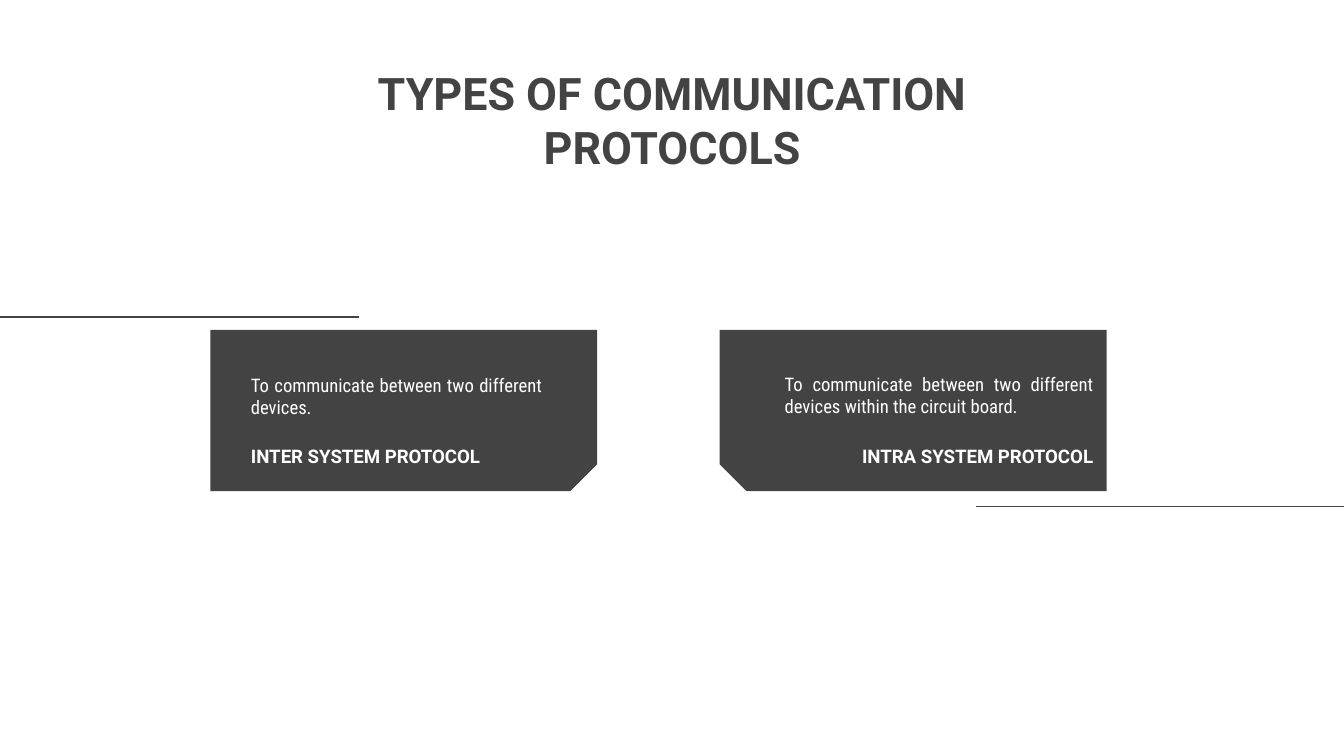
from dataclasses import dataclass

from lxml import etree
from pptx import Presentation
from pptx.dml.color import RGBColor
from pptx.enum import shapes, text
from pptx.oxml.ns import qn
from pptx.util import Pt


@dataclass(frozen=True)
class Theme:
    dark: RGBColor = RGBColor(0x43, 0x43, 0x43)
    light: RGBColor = RGBColor(0xFF, 0xFF, 0xFF)
    heading_font: str = "Roboto"
    body_font: str = "Roboto Condensed"
    title_size: float = 24
    card_size: float = 10
    inset: float = 7.2
    rule_width: float = 0.75


@dataclass(frozen=True)
class Area:
    left: float
    top: float
    width: float
    height: float


@dataclass(frozen=True)
class Card:
    center_x: float
    mirrored: bool
    heading: str
    heading_area: Area
    heading_align: text.PP_ALIGN
    body: str
    body_area: Area


@dataclass(frozen=True)
class Rule:
    start_x: float
    end_x: float
    y: float


THEME = Theme()
PAGE_WIDTH, PAGE_HEIGHT = 720, 405
CARD_WIDTH, CARD_HEIGHT, CARD_CENTER_Y = 207.2, 86.4, 220
CORNER_CUT = 0.167

CARDS = [
    Card(216.3, False,
         "INTER SYSTEM PROTOCOL", Area(127.4, 212.4, 161.3, 43.9), text.PP_ALIGN.LEFT,
         "To communicate between two different devices.",
         Area(127.4, 193, 169.9, 34.6)),
    Card(489.2, True,
         "INTRA SYSTEM PROTOCOL", Area(452.2, 211, 140.4, 45.3), text.PP_ALIGN.RIGHT,
         "To communicate between two different devices within the circuit board.",
         Area(413.3, 192.3, 179.3, 35.3)),
]
RULES = [Rule(192.2, 0, 169.9), Rule(PAGE_WIDTH, 522.7, 271.2)]


def add_text(page, area: Area, content: str, *, font: str, size: float,
             color: RGBColor, align: text.PP_ALIGN, bold: bool = False,
             anchor: text.MSO_ANCHOR = text.MSO_ANCHOR.TOP) -> None:
    box = page.shapes.add_textbox(Pt(area.left), Pt(area.top),
                                  Pt(area.width), Pt(area.height))
    frame = box.text_frame
    frame.word_wrap = True
    frame.vertical_anchor = anchor
    frame.margin_left = frame.margin_right = Pt(THEME.inset)
    frame.margin_top = frame.margin_bottom = Pt(THEME.inset)
    para = frame.paragraphs[0]
    para.alignment = align
    span = para.add_run()
    span.text = content
    span.font.name = font
    span.font.size = Pt(size)
    span.font.bold = bold
    span.font.color.rgb = color


def add_card(page, card: Card) -> None:
    # The upright shape is turned a quarter so its cut corner points down and inward
    panel = page.shapes.add_shape(
        shapes.MSO_SHAPE.SNIP_1_RECTANGLE,
        Pt(card.center_x - CARD_HEIGHT / 2), Pt(CARD_CENTER_Y - CARD_WIDTH / 2),
        Pt(CARD_HEIGHT), Pt(CARD_WIDTH))
    panel.adjustments[0] = CORNER_CUT
    panel.rotation = 270 if card.mirrored else 90
    if card.mirrored:
        panel._element.spPr.xfrm.set("flipH", "1")
    panel.shadow.inherit = False
    panel.fill.solid()
    panel.fill.fore_color.rgb = THEME.dark
    panel.line.fill.background()

    add_text(page, card.heading_area, card.heading, font=THEME.heading_font,
             size=THEME.card_size, color=THEME.light, align=card.heading_align,
             bold=True, anchor=text.MSO_ANCHOR.BOTTOM)
    add_text(page, card.body_area, card.body, font=THEME.body_font,
             size=THEME.card_size, color=THEME.light, align=text.PP_ALIGN.JUSTIFY)


def add_rule(page, rule: Rule) -> None:
    line = page.shapes.add_connector(shapes.MSO_CONNECTOR.STRAIGHT,
                                     Pt(rule.start_x), Pt(rule.y),
                                     Pt(rule.end_x), Pt(rule.y))
    line.line.color.rgb = THEME.dark
    line.line.width = Pt(THEME.rule_width)
    etree.SubElement(line._element.spPr, qn("a:effectLst"))


def main() -> None:
    deck = Presentation()
    deck.slide_width, deck.slide_height = Pt(PAGE_WIDTH), Pt(PAGE_HEIGHT)
    page = deck.slides.add_slide(deck.slide_layouts[6])

    # Title
    add_text(page, Area(154.8, 28.1, 410.4, 74.2), "TYPES OF COMMUNICATION PROTOCOLS",
             font=THEME.heading_font, size=THEME.title_size, color=THEME.dark,
             align=text.PP_ALIGN.CENTER, bold=True)

    # Protocol cards
    for card in CARDS:
        add_card(page, card)

    # Rules running to the page edges
    for rule in RULES:
        add_rule(page, rule)

    deck.save("out.pptx")


if __name__ == "__main__":
    main()
